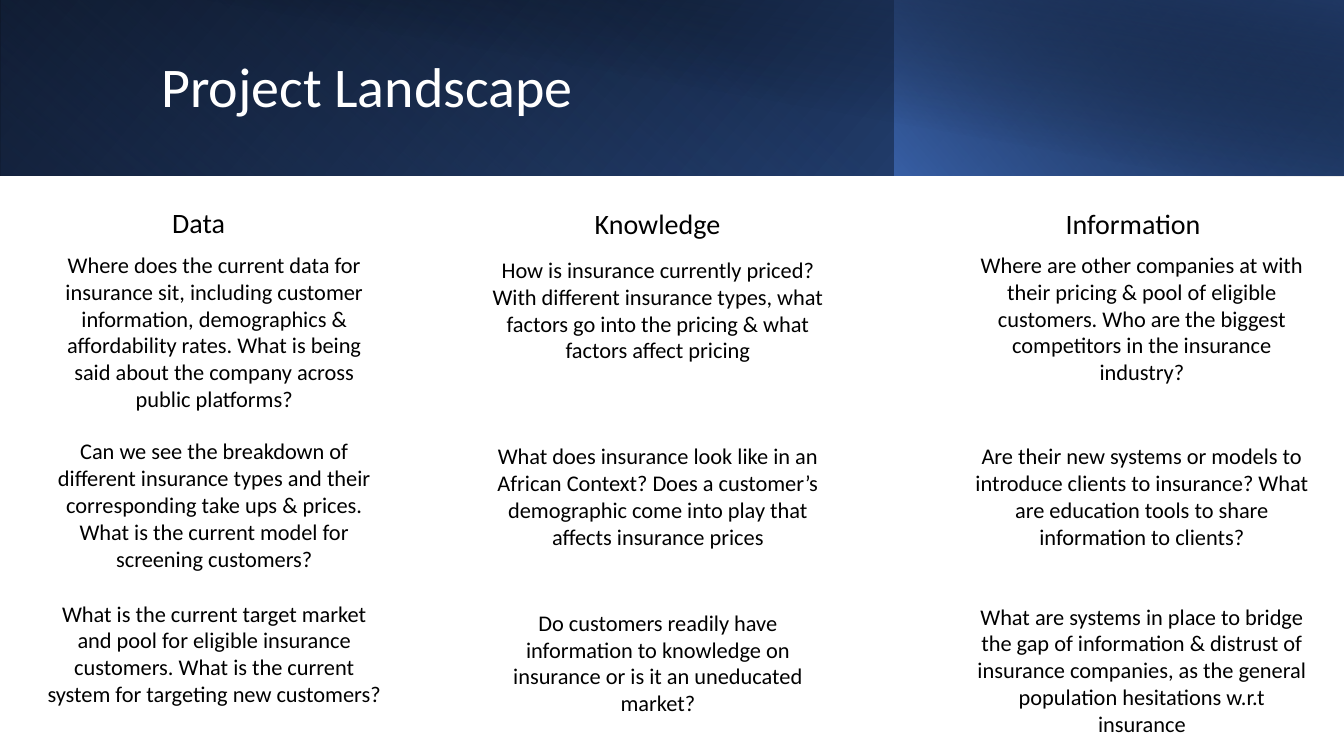
from dataclasses import dataclass

import lxml.etree
import pptx
import pptx.dml.color
import pptx.enum.shapes
import pptx.enum.text
import pptx.oxml.ns
import pptx.slide
import pptx.text.text
import pptx.util

Inches = pptx.util.Inches
RGBColor = pptx.dml.color.RGBColor
Align = pptx.enum.text.PP_ALIGN
Anchor = pptx.enum.text.MSO_ANCHOR

BLACK = RGBColor(0x00, 0x00, 0x00)
WHITE = RGBColor(0xFF, 0xFF, 0xFF)
BLUE = RGBColor(0x44, 0x72, 0xC4)
MID_BLUE = RGBColor(0x2F, 0x55, 0x97)
NAVY = RGBColor(0x20, 0x38, 0x64)
FONT = "Calibri"
QUESTION_WIDTH = 3.51
HEADING_HEIGHT = 0.6


@dataclass
class Stop:
    position: int
    color: RGBColor
    opacity: int = 100


@dataclass
class Band:
    left: float
    width: float
    height: float
    angle: int
    stops: list[Stop]
    flipped: bool = True
    rotation: int = 0


@dataclass
class Question:
    top: float
    height: float
    text: str


@dataclass
class Column:
    heading: str
    heading_left: float
    heading_top: float
    heading_width: float
    left: float
    questions: list[Question]


BANDS = [
    Band(0, 13.33, 1.74, 140, [Stop(0, BLACK), Stop(100, MID_BLUE)]),
    Band(0, 8.88, 1.74, 230, [Stop(20, BLUE, 0), Stop(100, NAVY, 55)], rotation=180),
    Band(8.87, 4.46, 1.74, 220, [Stop(0, BLUE, 66), Stop(100, BLACK, 30)]),
    Band(0.5, 12.83, 1.75, 280, [Stop(50, BLACK, 0), Stop(99, NAVY, 52)], flipped=False),
]

COLUMNS = [
    Column("Data", 1.61, 1.93, 0.86, 0.37, [
        Question(2.44, 1.72, "Where does the current data for insurance sit, including customer "
                 "information, demographics & affordability rates. What is being said about the "
                 "company across public platforms?"),
        Question(4.29, 1.45, "Can we see the breakdown of different insurance types and their "
                 "corresponding take ups & prices. What is the current model for screening "
                 "customers?"),
        Question(5.9, 1.45, "What is the current target market and pool for eligible insurance "
                 "customers. What is the current system for targeting new customers?"),
    ]),
    Column("Knowledge", 5.8, 1.94, 1.46, 4.77, [
        Question(2.49, 1.18, "How is insurance currently priced? With different insurance types, "
                 "what factors go into the pricing & what factors affect pricing"),
        Question(4.34, 1.18, "What does insurance look like in an African Context? Does a "
                 "customer’s demographic come into play that affects insurance prices"),
        Question(5.99, 1.18, "Do customers readily have information to knowledge on insurance or "
                 "is it an uneducated market?"),
    ]),
    Column("Information", 10.47, 1.94, 1.7, 9.57, [
        Question(2.44, 1.45, "Where are other companies at with their pricing & pool of eligible "
                 "customers. Who are the biggest competitors in the insurance industry?"),
        Question(4.34, 1.18, "Are their new systems or models to introduce clients to insurance? "
                 "What are education tools to share information to clients?"),
        Question(5.93, 1.45, "What are systems in place to bridge the gap of information & "
                 "distrust of insurance companies, as the general population hesitations w.r.t "
                 "insurance"),
    ]),
]


def gradient_fill(band: Band) -> lxml.etree._Element:
    """Build a linear gradient with an opacity for each stop."""
    qn = pptx.oxml.ns.qn
    gradient = lxml.etree.Element(qn("a:gradFill"))
    stop_list = lxml.etree.SubElement(gradient, qn("a:gsLst"))
    for stop in band.stops:
        entry = lxml.etree.SubElement(stop_list, qn("a:gs"), pos=str(stop.position * 1000))
        color = lxml.etree.SubElement(entry, qn("a:srgbClr"), val=str(stop.color))
        if stop.opacity < 100:
            lxml.etree.SubElement(color, qn("a:alpha"), val=str(stop.opacity * 1000))
    lxml.etree.SubElement(gradient, qn("a:lin"), ang=str(band.angle * 60000), scaled="0")
    return gradient


def add_band(page: pptx.slide.Slide, band: Band) -> None:
    shape = page.shapes.add_shape(
        pptx.enum.shapes.MSO_SHAPE.RECTANGLE,
        Inches(band.left), 0, Inches(band.width), Inches(band.height))
    shape.shadow.inherit = False
    shape.line.fill.background()
    shape.rotation = band.rotation
    properties = shape.element.spPr
    if band.flipped:
        properties.xfrm.set("flipH", "1")
    geometry = properties.find(pptx.oxml.ns.qn("a:prstGeom"))
    geometry.addnext(gradient_fill(band))


def add_text(page: pptx.slide.Slide, left: float, top: float, width: float, height: float,
             text: str, size: int, color: RGBColor = BLACK) -> pptx.text.text.TextFrame:
    box = page.shapes.add_textbox(Inches(left), Inches(top), Inches(width), Inches(height))
    frame = box.text_frame
    frame.word_wrap = True
    frame.text = text
    span = frame.paragraphs[0].runs[0]
    span.font.name = FONT
    span.font.size = pptx.util.Pt(size)
    span.font.color.rgb = color
    return frame


def add_title(page: pptx.slide.Slide, text: str) -> None:
    frame = add_text(page, 1.5, 0.32, 10.82, 1.13, text, 40, WHITE)
    frame.vertical_anchor = Anchor.MIDDLE
    frame.paragraphs[0].line_spacing = 0.9


def add_column(page: pptx.slide.Slide, column: Column) -> None:
    heading = add_text(page, column.heading_left, column.heading_top, column.heading_width,
                       HEADING_HEIGHT, column.heading, 20)
    heading.vertical_anchor = Anchor.MIDDLE
    heading.paragraphs[0].line_spacing = 0.9
    heading.paragraphs[0].space_after = pptx.util.Pt(6)
    for question in column.questions:
        frame = add_text(page, column.left, question.top, QUESTION_WIDTH, question.height,
                         question.text, 16)
        frame.auto_size = pptx.enum.text.MSO_AUTO_SIZE.SHAPE_TO_FIT_TEXT
        frame.paragraphs[0].alignment = Align.CENTER


def main() -> None:
    deck = pptx.Presentation()
    deck.slide_width = Inches(13.33)
    deck.slide_height = Inches(7.5)
    page = deck.slides.add_slide(deck.slide_layouts[6])
    for band in BANDS:
        add_band(page, band)
    add_title(page, "Project Landscape")
    for column in COLUMNS:
        add_column(page, column)
    deck.save("out.pptx")


if __name__ == "__main__":
    main()
